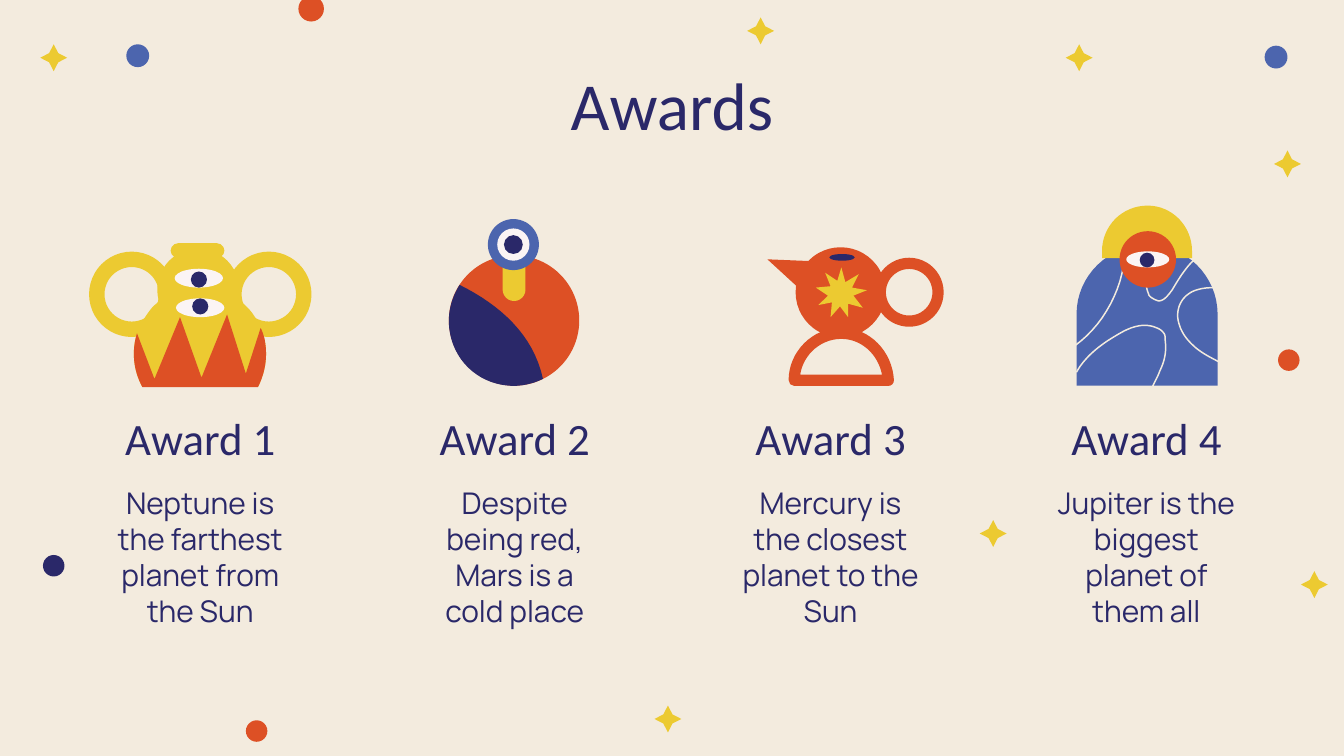
from pptx import Presentation
from pptx.dml.color import RGBColor
from pptx.enum.shapes import MSO_SHAPE
from pptx.enum.text import MSO_ANCHOR, PP_ALIGN
from pptx.util import Cm, Pt

CREAM, WHITE, NAVY = "F3EBDE", "FBF4F4", "2A2869"
BLUE, RED, YELLOW = "4C65AE", "DD5025", "ECCA31"
OVAL, PILL, SPARK = MSO_SHAPE.OVAL, MSO_SHAPE.ROUNDED_RECTANGLE, MSO_SHAPE.STAR_4_POINT
CURVE_STEPS = 16

# Places are in inches. Dots: left, top, diameter, colour
DOTS = [
    (2.22, -0.03, 0.19, RED), (0.94, 0.33, 0.17, BLUE), (0.32, 4.13, 0.16, NAVY),
    (9.51, 2.6, 0.16, RED), (9.41, 0.34, 0.17, BLUE), (1.83, 5.36, 0.16, RED),
]
SPARKS = [(9.48, 1.12), (5.56, 0.13), (7.93, 0.33), (7.29, 3.87),
          (0.3, 0.33), (4.87, 5.25), (9.68, 4.25)]
SPARK_SIZE = 0.2

# Outlines: two numbers are a corner, six are a Bezier curve to the last pair
POT = [(1.49, 2.14), (1.36, 2.14, 1.24, 2.19, 1.14, 2.28),
       (1.09, 2.34, 1.05, 2.4, 1.02, 2.48), (0.98, 2.61, 0.99, 2.75, 1.06, 2.88),
       (1.92, 2.88), (1.96, 2.8, 1.98, 2.72, 1.98, 2.63),
       (1.98, 2.57, 1.97, 2.5, 1.94, 2.45), (1.91, 2.36, 1.85, 2.28, 1.77, 2.23),
       (1.68, 2.17, 1.59, 2.14, 1.49, 2.14)]
POT_TEETH = [(1.69, 2.34), (1.5, 2.81), (1.34, 2.36), (1.15, 2.82), (1.02, 2.48),
             (0.98, 2.61, 0.99, 2.75, 1.06, 2.88), (1.92, 2.88),
             (1.96, 2.8, 1.98, 2.72, 1.98, 2.63), (1.98, 2.57, 1.97, 2.5, 1.94, 2.44),
             (1.83, 2.78)]
BALL_SHADE = [(4.04, 2.82), (3.97, 2.49, 3.72, 2.27, 3.42, 2.12),
              (3.37, 2.2, 3.34, 2.29, 3.34, 2.39), (3.34, 2.5, 3.38, 2.62, 3.46, 2.71),
              (3.6, 2.87, 3.84, 2.92, 4.04, 2.82)]
SPOUT = [(5.71, 1.93), (6.19, 2.37), (6.19, 1.95)]
JUG_FOOT = [(6.61, 2.83), (6.6, 2.64, 6.45, 2.48, 6.26, 2.48),
            (6.07, 2.48, 5.91, 2.64, 5.91, 2.83)]
JUG_STAR = [(6.26, 1.99), (6.23, 2.09), (6.14, 2.03), (6.18, 2.13), (6.07, 2.14),
            (6.16, 2.2), (6.09, 2.27), (6.19, 2.25), (6.18, 2.36), (6.25, 2.28),
            (6.31, 2.36), (6.31, 2.26), (6.42, 2.29), (6.35, 2.2), (6.45, 2.16),
            (6.34, 2.14), (6.39, 2.04), (6.29, 2.1)]
CLOAK = [(8.54, 1.82), (8.25, 1.82, 8.01, 2.05, 8.01, 2.34), (8.01, 2.87), (9.06, 2.87),
         (9.06, 2.34), (9.06, 2.05, 8.82, 1.82, 8.54, 1.82)]
HOOD = [(8.54, 1.53), (8.35, 1.53, 8.2, 1.68, 8.2, 1.87), (8.2, 1.92), (8.87, 1.92),
        (8.87, 1.87), (8.87, 1.68, 8.72, 1.53, 8.54, 1.53)]
FOLD_LEFT = [(8.36, 1.75), (8.41, 2.05, 8.24, 2.4, 8, 2.57)]
FOLD_RIGHT = [(9.1, 2.71), (9.03, 2.67, 8.96, 2.64, 8.9, 2.59),
              (8.84, 2.54, 8.79, 2.48, 8.77, 2.4), (8.75, 2.33, 8.77, 2.24, 8.84, 2.19),
              (8.89, 2.15, 8.97, 2.14, 9.04, 2.14)]
FOLD_TOP = [(8.61, 1.71), (8.54, 1.84, 8.51, 1.98, 8.53, 2.12),
            (8.53, 2.15, 8.54, 2.17, 8.55, 2.2), (8.57, 2.22, 8.59, 2.23, 8.62, 2.24),
            (8.66, 2.24, 8.69, 2.2, 8.72, 2.16), (8.75, 2.11, 8.78, 2.06, 8.81, 2.02),
            (8.84, 1.98, 8.87, 1.94, 8.91, 1.92)]
FOLD_LOW = [(8.01, 2.77), (8.07, 2.66, 8.18, 2.57, 8.3, 2.5),
            (8.38, 2.45, 8.48, 2.4, 8.58, 2.43), (8.61, 2.44, 8.64, 2.45, 8.66, 2.48),
            (8.67, 2.49, 8.67, 2.51, 8.67, 2.53), (8.68, 2.61, 8.67, 2.68, 8.63, 2.76),
            (8.61, 2.82, 8.57, 2.87, 8.56, 2.93), (8.55, 3.02, 8.61, 3.11, 8.67, 3.19)]

# Parts: (preset, place, colour[, line width]) or (None, outline, colour[, line width])
AWARDS = [
    ("Award 1", "Neptune is the farthest planet from the Sun", 1.49, [
        (PILL, (1.27, 1.81, 0.4, 0.11), YELLOW), (OVAL, (1.17, 1.85, 0.61, 0.61), YELLOW),
        (None, POT, YELLOW),
        (OVAL, (1.74, 1.93, 0.52, 0.52), YELLOW, 8.25),
        (OVAL, (0.72, 1.93, 0.52, 0.52), YELLOW, 8.25),
        (None, POT_TEETH, RED),
        (OVAL, (1.3, 2, 0.36, 0.14), WHITE), (OVAL, (1.31, 2.22, 0.36, 0.14), WHITE),
        (OVAL, (1.42, 2.02, 0.12, 0.12), NAVY), (OVAL, (1.43, 2.22, 0.12, 0.12), NAVY),
    ]),
    ("Award 2", "Despite being red, Mars is a cold place", 3.83, [
        (OVAL, (3.34, 1.9, 0.97, 0.97), RED), (None, BALL_SHADE, NAVY),
        (PILL, (3.74, 1.74, 0.17, 0.5), YELLOW), (OVAL, (3.63, 1.63, 0.38, 0.38), BLUE),
        (OVAL, (3.7, 1.7, 0.24, 0.24), WHITE), (OVAL, (3.75, 1.75, 0.14, 0.14), NAVY),
    ]),
    ("Award 3", "Mercury is the closest planet to the Sun", 6.18, [
        (OVAL, (5.92, 1.84, 0.67, 0.67), RED), (None, SPOUT, RED),
        (OVAL, (6.17, 1.89, 0.19, 0.05), NAVY), (None, JUG_FOOT, RED, 6),
        (OVAL, (6.55, 1.96, 0.43, 0.43), RED, 6), (None, JUG_STAR, YELLOW),
    ]),
    ("Award 4", "Jupiter is the biggest planet of them all", 8.53, [
        (None, CLOAK, BLUE), (None, FOLD_LEFT, CREAM, 0.78),
        (None, FOLD_RIGHT, CREAM, 0.78), (None, FOLD_TOP, CREAM, 0.78),
        (None, HOOD, YELLOW), (OVAL, (8.33, 1.72, 0.42, 0.42), RED),
        (None, FOLD_LOW, CREAM, 0.78),
        (OVAL, (8.38, 1.87, 0.32, 0.12), WHITE), (OVAL, (8.48, 1.88, 0.11, 0.11), NAVY),
    ]),
]


def inches(value):
    return Cm(value * 2.54)


def color(value):
    return RGBColor.from_string(value)


def flatten(outline):
    """Turn corners and Bezier curves into a list of points."""
    points = [outline[0]]
    for part in outline[1:]:
        if len(part) == 2:
            points.append(part)
            continue
        ends = [points[-1], part[:2], part[2:4], part[4:]]
        for step in range(1, CURVE_STEPS + 1):
            t = step / CURVE_STEPS
            weights = ((1 - t) ** 3, 3 * t * (1 - t) ** 2, 3 * t * t * (1 - t), t ** 3)
            points.append(tuple(sum(w * end[axis] for w, end in zip(weights, ends))
                                for axis in (0, 1)))
    return points


def add_part(shapes, preset, geometry, shade, line_width=None):
    """Add a filled shape, or only its outline when a line width is given."""
    if preset is None:
        points = [(inches(x), inches(y)) for x, y in flatten(geometry)]
        builder = shapes.build_freeform(*points[0])
        builder.add_line_segments(points[1:], close=shade != CREAM)
        shape = builder.convert_to_shape()
    else:
        shape = shapes.add_shape(preset, *map(inches, geometry))
        if preset == PILL:
            shape.adjustments[0] = 0.5
        elif preset == SPARK:
            shape.adjustments[0] = 0.24
    shape.shadow.inherit = False
    if line_width:
        shape.fill.background()
        shape.line.color.rgb = color(shade)
        shape.line.width = Pt(line_width)
    else:
        shape.fill.solid()
        shape.fill.fore_color.rgb = color(shade)
        shape.line.fill.background()


def add_text(page, text, center, top, width, height, size, font):
    box = page.shapes.add_textbox(*map(inches, (center - width / 2, top, width, height)))
    frame = box.text_frame
    frame.word_wrap = True
    frame.vertical_anchor = MSO_ANCHOR.TOP
    frame.margin_left = frame.margin_right = inches(0.1)
    frame.margin_top = frame.margin_bottom = inches(0.1)
    para = frame.paragraphs[0]
    para.alignment = PP_ALIGN.CENTER
    span = para.add_run()
    span.text = text
    span.font.name = font
    span.font.size = Pt(size)
    span.font.color.rgb = color(NAVY)


def main():
    deck = Presentation()
    deck.slide_width, deck.slide_height = inches(10), inches(5.625)
    page = deck.slides.add_slide(deck.slide_layouts[6])
    page.background.fill.solid()
    page.background.fill.fore_color.rgb = color(CREAM)

    for left, top, size, shade in DOTS:
        add_part(page.shapes, OVAL, (left, top, size, size), shade)
    for left, top in SPARKS:
        add_part(page.shapes, SPARK, (left, top, SPARK_SIZE, SPARK_SIZE), YELLOW)

    add_text(page, "Awards", 5, 0.37, 8.44, 0.63, 36, "Calibri")
    for name, fact, center, parts in AWARDS:
        add_text(page, name, center, 2.96, 1.92, 0.63, 24, "Calibri")
        add_text(page, fact, center, 3.51, 1.54, 1.52, 16, "Manrope")
        trophy = page.shapes.add_group_shape()
        for part in parts:
            add_part(trophy.shapes, *part)
    deck.save("out.pptx")


if __name__ == "__main__":
    main()
